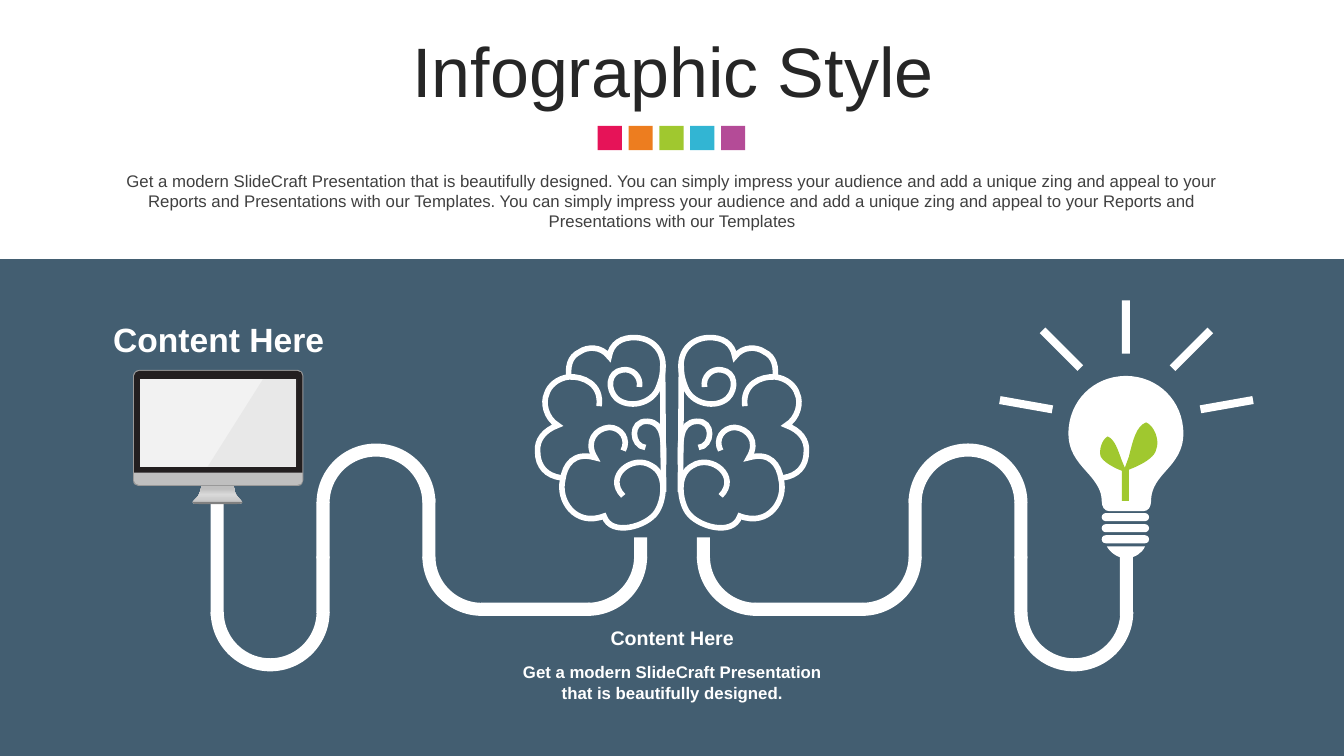
import copy
import pptx
import pptx.dml.color
import pptx.enum.shapes
import pptx.enum.text
import pptx.oxml
import pptx.oxml.ns
import pptx.util
from lxml import etree

WIDE, HIGH = 40 / 3, 7.5
WHITE, GREEN = "FFFFFF", "A0C82F"

SWATCH = ["E61358", "ED7D1F", GREEN, "32B5D3", "B44B97"]
BLURB = (
    "Get a modern SlideCraft Presentation that is beautifully designed. "
    "You can simply impress your audience and add a unique zing and appeal to your Reports and "
    "Presentations with our Templates. You can simply impress your audience and add a unique zing "
    "and appeal to your Reports and Presentations with our Templates"
)
TEXTS = [
    ("Infographic Style", (0.35, 0.37, 12.66, 0.79), 50, "262626", False),
    (BLURB, (0.92, 1.64, 11.5, 0.71), 12, "404040", False),
    ("Get a modern SlideCraft Presentation that is beautifully designed.",
     (4.99, 6.52, 3.36, 0.5), 12, WHITE, True),
    ("Content Here", (4.99, 6.16, 3.36, 0.35), 14, WHITE, True),
    ("Content Here", (0.87, 3.11, 2.6, 0.44), 24, WHITE, True),
]

RAYS = [(11.13, 2.98, 0), (10.49, 3.2, 135), (10.14, 3.75, 280),
        (11.78, 3.2, 225), (12.13, 3.75, 80)]
BULB = [
    (11.17, 3.73), (11.49, 3.73, 11.74, 3.98, 11.74, 4.3),
    (11.74, 4.47, 11.66, 4.57, 11.56, 4.68), (11.46, 4.79, 11.42, 4.87, 11.42, 4.97),
    (11.42, 5.03, 11.39, 5.07, 11.35, 5.07), (11, 5.07),
    (10.96, 5.07, 10.93, 5.03, 10.93, 4.97), (10.93, 4.87, 10.88, 4.79, 10.78, 4.68),
    (10.68, 4.57, 10.6, 4.47, 10.6, 4.3), (10.6, 3.98, 10.85, 3.73, 11.17, 3.73),
]
CAP = [(10.98, 5.42), (11.36, 5.42), (11.33, 5.49, 11.26, 5.53, 11.18, 5.54),
       (11.1, 5.54, 11.02, 5.49, 10.98, 5.42)]
PLANT = [
    (11.37, 4.19), (11.45, 4.22, 11.51, 4.37, 11.47, 4.46),
    (11.46, 4.52, 11.38, 4.58, 11.27, 4.63), (11.2, 4.66), (11.2, 4.97), (11.13, 4.97),
    (11.13, 4.67), (11.08, 4.65), (11, 4.61, 10.94, 4.57, 10.92, 4.53),
    (10.9, 4.47, 10.93, 4.36, 10.99, 4.33), (11.06, 4.36, 11.09, 4.46, 11.13, 4.57),
    (11.16, 4.64), (11.2, 4.53), (11.24, 4.37, 11.27, 4.23, 11.37, 4.19),
]

BRAIN = [
    [(6.99, 3.84), (6.97, 3.74, 7.06, 3.65, 7.16, 3.67), (7.3, 3.69, 7.31, 3.86, 7.22, 3.95),
     (7.1, 4.06, 6.86, 4.01, 6.8, 3.84), (6.67, 3.51, 6.85, 3.36, 7.02, 3.35),
     (7.17, 3.34, 7.27, 3.41, 7.29, 3.54), (7.37, 3.43, 7.51, 3.44, 7.58, 3.49),
     (7.69, 3.54, 7.7, 3.65, 7.69, 3.75)],
    [(7.39, 4.03), (7.36, 3.81, 7.55, 3.73, 7.69, 3.74), (7.8, 3.75, 7.89, 3.83, 7.91, 3.91),
     (7.95, 3.99, 7.92, 4.15, 7.8, 4.22), (7.94, 4.27, 8.01, 4.37, 8, 4.48),
     (8, 4.63, 7.91, 4.72, 7.77, 4.74)],
    [(7.15, 4.47), (7.09, 4.36, 7.17, 4.24, 7.29, 4.24), (7.42, 4.25, 7.53, 4.38, 7.43, 4.54),
     (7.64, 4.48, 7.73, 4.61, 7.75, 4.76), (7.8, 4.96, 7.63, 5.23, 7.34, 5.12),
     (7.27, 5.33, 6.91, 5.22, 6.82, 5.08), (6.75, 4.98, 6.7, 4.71, 6.87, 4.62),
     (7.06, 4.5, 7.34, 4.73, 7.15, 4.92)],
    [(6.75, 4.61), (6.75, 4.38, 6.74, 4.19, 6.91, 4.18), (7.09, 4.17, 7.07, 4.43, 6.93, 4.44)],
]

PIPE, BEND = 0.13, 1.18
BARS = [(3.14, 5.52, PIPE, 0.56), (4.19, 4.95, PIPE, 0.59), (3.14, 4.98, PIPE, 0.56),
        (4.77, 5.98, 1.08, PIPE), (6.29, 5.33, PIPE, 0.21)]
ENDS = [(2.09, 4.77, PIPE, 1.34), (11.11, 5.52, PIPE, 0.59)]
BENDS = [(2.09, 5.48, 108, 180, 180), (3.14, 4.4, 108, 0, 0),
         (4.19, 4.93, 162.2, 180, 90), (5.24, 4.93, 162.2, 90, 180)]

STEEL = [(0, "BFBFBF"), (0.53, "D9D9D9"), (0.83, "BFBFBF"), (1, "BFBFBF")]
STAND = [(2.36, 4.93), (2.32, 4.9, 2.32, 4.82, 2.32, 4.82), (2, 4.82),
         (2, 4.82, 1.99, 4.89, 1.96, 4.93), (1.92, 4.97, 1.87, 5, 1.96, 5), (2.35, 5),
         (2.45, 5, 2.39, 4.97, 2.36, 4.93)]
SCREEN = [
    ("999999", [(2.96, 3.67), (1.38, 3.67), (1.35, 3.67, 1.32, 3.7, 1.32, 3.73), (1.32, 4.76),
                (1.32, 4.8, 1.34, 4.82, 1.37, 4.82), (2.96, 4.82),
                (2.99, 4.82, 3.01, 4.79, 3.01, 4.76), (3.01, 3.73),
                (3.01, 3.7, 2.99, 3.67, 2.96, 3.67)]),
    ("999999", [(2.79, 4.81), (2.79, 4.82), (2.89, 4.82), (2.89, 4.81)]),
    ("231F20", [(2.95, 3.68), (1.38, 3.68), (1.36, 3.68, 1.33, 3.7, 1.33, 3.73), (1.33, 4.69),
                (3, 4.69), (3, 3.73), (3, 3.7, 2.98, 3.68, 2.95, 3.68)]),
    ("808080", [(1.91, 4.98), (1.91, 5, 1.93, 5, 1.97, 5), (2.35, 5),
                (2.39, 5, 2.41, 4.99, 2.41, 4.98)]),
    ("BFBFBF", [(1.33, 4.77), (1.33, 4.79, 1.36, 4.81, 1.38, 4.81), (2.95, 4.81),
                (2.98, 4.81, 3, 4.79, 3, 4.77), (3, 4.69), (1.33, 4.69)]),
    ("F2F2F2", [(1.39, 3.76), (2.94, 3.76), (2.94, 4.63), (1.39, 4.63)]),
]
GLARE = [(2.61, 3.76), (2.95, 3.76), (2.94, 4.63), (2.06, 4.63)]

KIND = pptx.enum.shapes.MSO_SHAPE
inch, qn = pptx.util.Inches, pptx.oxml.ns.qn
deck = pptx.Presentation()
deck.slide_width, deck.slide_height = inch(WIDE), inch(HIGH)
shapes = deck.slides.add_slide(deck.slide_layouts[6]).shapes


def tint(code):
    return pptx.dml.color.RGBColor.from_string(code)


def paint(shape, code):
    shape.shadow.inherit = False
    shape.fill.solid()
    shape.fill.fore_color.rgb = tint(code)
    shape.line.fill.background()
    return shape


def block(box, code, kind=KIND.RECTANGLE, turn=0):
    shape = paint(shapes.add_shape(kind, *map(inch, box)), code)
    shape.rotation = turn
    return shape


def trace(path, steps=12):
    spots = [path[0]]
    for part in path[1:]:
        if len(part) == 2:
            spots.append(part)
            continue
        nodes = [spots[-1], part[:2], part[2:4], part[4:]]
        for step in range(1, steps + 1):
            t = step / steps
            mix = ((1 - t) ** 3, 3 * t * (1 - t) ** 2, 3 * t * t * (1 - t), t ** 3)
            spots.append(tuple(sum(m * n[k] for m, n in zip(mix, nodes)) for k in (0, 1)))
    return spots


def outline(path, close=True):
    first, *rest = [(inch(x), inch(y)) for x, y in trace(path)]
    pen = shapes.build_freeform(*first)
    pen.add_line_segments(rest, close=close)
    shape = pen.convert_to_shape()
    route = next(shape._element.iter(qn("a:path")))
    for old in route.findall(qn("a:lnTo")):
        route.remove(old)
    for spot, part in enumerate(path[1:], 1):
        move = etree.Element(qn("a:lnTo" if len(part) == 2 else "a:cubicBezTo"))
        for x, y in zip(part[::2], part[1::2]):
            node = etree.SubElement(move, qn("a:pt"))
            node.set("x", str(inch(x) - shape.left))
            node.set("y", str(inch(y) - shape.top))
        route.insert(spot, move)
    return shape


def flip(x, size=0):
    return WIDE - x - size


def stroke(shape):
    shape.line.color.rgb = tint(WHITE)
    shape.line.width = pptx.util.Pt(4)
    edge = shape._element.spPr.find(qn("a:ln"))
    etree.SubElement(edge, qn("a:miter")).set("lim", "800000")


def write(words, box, size, code, bold):
    frame = shapes.add_textbox(*map(inch, box)).text_frame
    frame.word_wrap = True
    para = frame.paragraphs[0]
    para.text = words
    para.alignment = pptx.enum.text.PP_ALIGN.CENTER
    para.font.name, para.font.size, para.font.bold = "Arial", pptx.util.Pt(size), bold
    para.font.color.rgb = tint(code)
    return frame


for spot, code in enumerate(SWATCH):
    block((5.93 + 0.306 * spot, 1.25, 0.24, 0.24), code)
block((0, 2.57, WIDE, HIGH - 2.57), "435E71")

for row in range(3):
    block((10.93, 5.09 + 0.11 * row, 0.47, 0.08), WHITE, KIND.ROUNDED_RECTANGLE).adjustments[0] = 0.5
for path in (CAP, BULB):
    paint(outline(path), WHITE)
for x, y, turn in RAYS:
    block((x, y, 0.08, 0.53), WHITE, turn=turn)

title, *rest = [write(*item) for item in TEXTS]
title.vertical_anchor = pptx.enum.text.MSO_ANCHOR.MIDDLE
title.paragraphs[0].line_spacing = 0.8

for left in (False, True):
    for path in BRAIN:
        if left:
            path = [tuple(v if k % 2 else flip(v) for k, v in enumerate(part)) for part in path]
        lobe = outline(path, False)
        lobe.shadow.inherit = False
        lobe.fill.background()
        stroke(lobe)
    top, end = (flip(x) if left else x for x in (6.76, 6.75))
    stem = shapes.add_connector(pptx.enum.shapes.MSO_CONNECTOR.STRAIGHT,
                                *map(inch, (top, 3.63, end, 4.88)))
    stroke(stem)
    etree.SubElement(stem._element.spPr, qn("a:effectLst"))

paint(outline(PLANT), GREEN)

for box in ENDS:
    block(box, WHITE)
for right in (False, True):
    for x, y, w, h in BARS:
        block((flip(x, w) if right else x, y, w, h), WHITE)
    for x, y, start, turn, twin in BENDS:
        box = (flip(x, BEND) if right else x, y, BEND, BEND)
        bend = block(box, WHITE, KIND.BLOCK_ARC, twin if right else turn)
        for spot, value in enumerate((start, 215.8, 0.11)):
            bend.adjustments[spot] = value

stand = paint(outline(STAND), WHITE)
stand.fill.gradient()
stand.fill.gradient_angle = 90
stops = next(stand._element.iter(qn("a:gsLst")))
for extra in list(stops):
    stops.append(copy.deepcopy(extra))
for stop, (place, code) in zip(stand.fill.gradient_stops, STEEL):
    stop.position = place
    stop.color.rgb = tint(code)

for code, path in SCREEN:
    paint(outline(path), code)
glare = paint(outline(GLARE), "999999")
shade = next(glare._element.spPr.iter(qn("a:srgbClr")))
etree.SubElement(shade, qn("a:alpha")).set("val", "10000")

deck.save("out.pptx")
